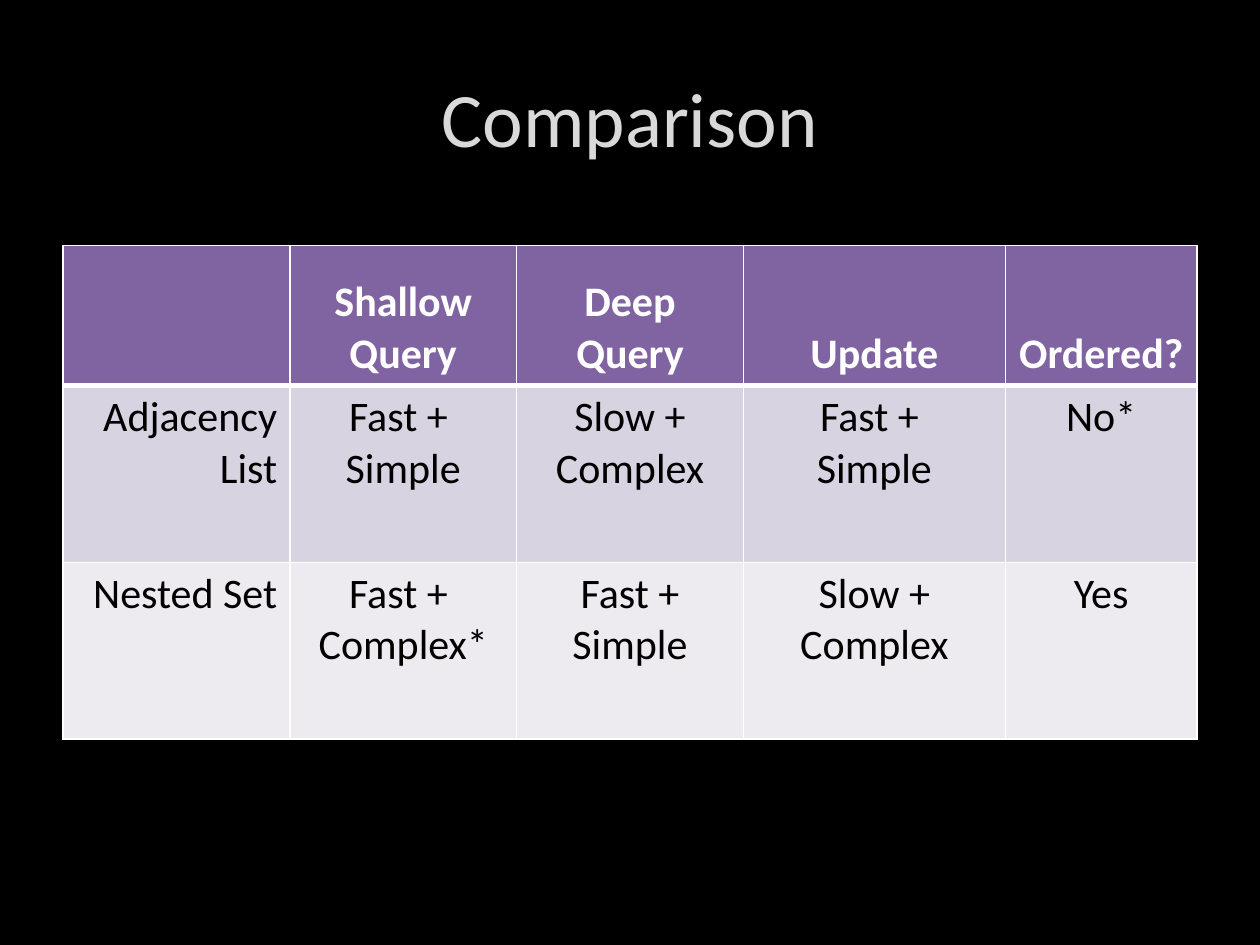
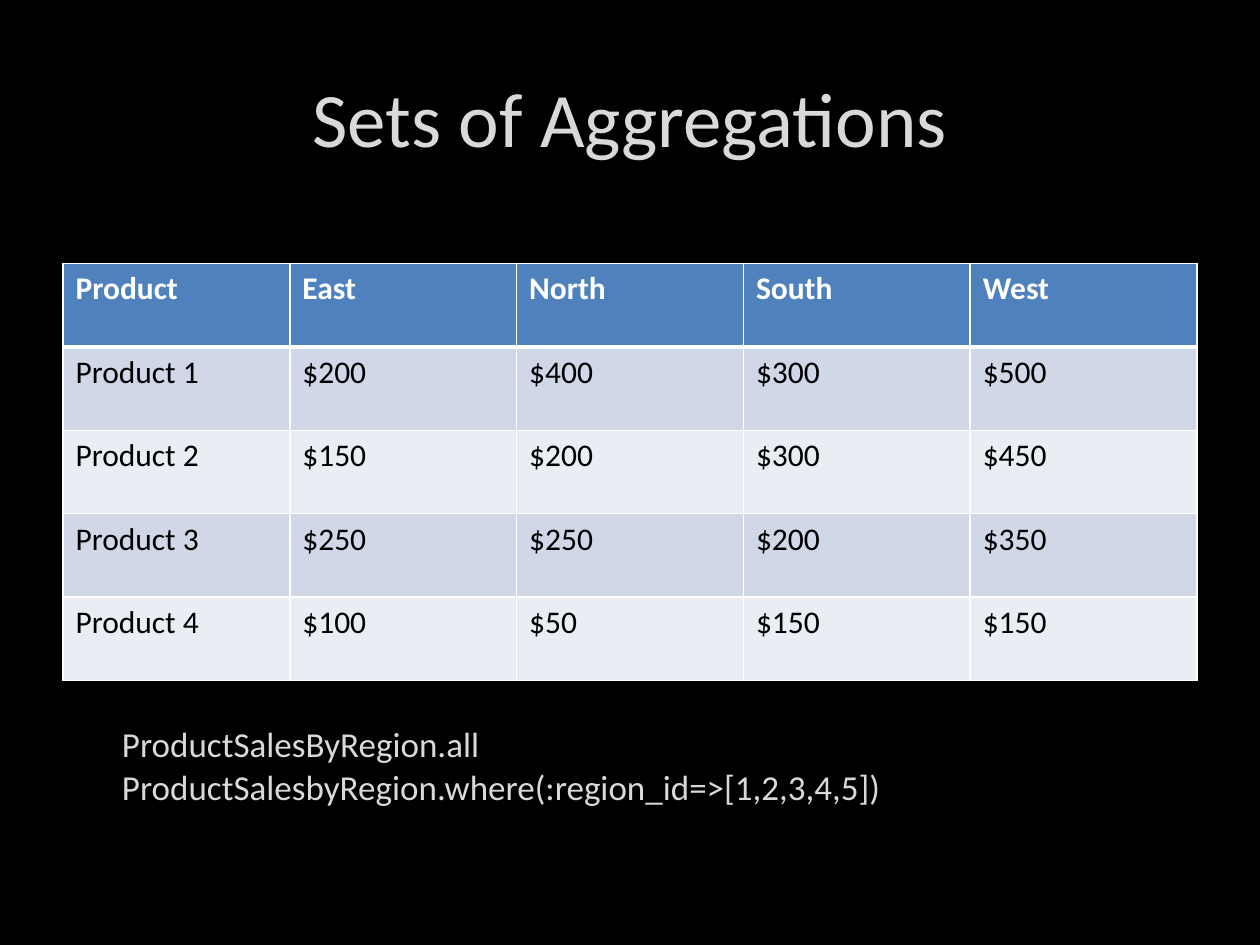
from dataclasses import dataclass

from lxml import etree
from pptx import Presentation
from pptx.dml.color import RGBColor
from pptx.enum import text
from pptx.oxml import ns
from pptx.util import Cm, Pt

ALIGN = text.PP_ALIGN
ANCHOR = text.MSO_ANCHOR


@dataclass(frozen=True)
class Theme:
    font: str = "Calibri"
    backdrop: str = "000000"
    light_text: str = "D9D9D9"
    head_text: str = "FFFFFF"
    body_text: str = "000000"
    rule: str = "FFFFFF"
    purple: tuple = ("8064A2", "D8D3E0", "EDEAF0")
    blue: tuple = ("4F81BD", "D0D8E8", "E9EDF4")
    title_size: int = 44
    comparison_size: int = 24
    sales_size: int = 18
    code_size: int = 20
    thin: int = 1
    thick: int = 3


@dataclass(frozen=True)
class Box:
    left: float
    top: float
    width: float
    height: float

    def lengths(self):
        return Cm(self.left), Cm(self.top), Cm(self.width), Cm(self.height)


THEME = Theme()
SLIDE_WIDTH, SLIDE_HEIGHT = 25.4, 19.05
MARGIN = 1.27
CONTENT_WIDTH = SLIDE_WIDTH - 2 * MARGIN
TITLE_BOX = Box(MARGIN, 0.76, CONTENT_WIDTH, 3.18)

COMPARISON = [
    ["", "Shallow Query", "Deep Query", "Update", "Ordered?"],
    ["Adjacency List", "Fast + \nSimple", "Slow +\nComplex", "Fast + \nSimple", "No*"],
    ["Nested Set", "Fast + \nComplex*", "Fast +\nSimple", "Slow + Complex", "Yes"],
]
SALES = [
    ["Product", "East", "North", "South", "West"],
    ["Product 1", "$200", "$400", "$300", "$500"],
    ["Product 2", "$150", "$200", "$300", "$450"],
    ["Product 3", "$250", "$250", "$200", "$350"],
    ["Product 4", "$100", "$50", "$150", "$150"],
]
QUERIES = [
    "ProductSalesByRegion.all",
    "ProductSalesbyRegion.where(:region_id=>[1,2,3,4,5])",
]


def write(paragraph, words, size, colour, bold=False, align=ALIGN.LEFT):
    paragraph.text = words
    paragraph.alignment = align
    for span in paragraph.runs:
        span.font.name = THEME.font
        span.font.size = Pt(size)
        span.font.bold = bold
        span.font.color.rgb = RGBColor.from_string(colour)


def add_text(page, box, lines, size, anchor=ANCHOR.TOP, align=ALIGN.LEFT):
    frame = page.shapes.add_textbox(*box.lengths()).text_frame
    frame.word_wrap = True
    frame.vertical_anchor = anchor
    frame.text = "\n".join(lines)
    for paragraph, line in zip(frame.paragraphs, lines):
        write(paragraph, line, size, THEME.light_text, align=align)


def add_title(page, words):
    add_text(page, TITLE_BOX, [words], THEME.title_size, ANCHOR.MIDDLE, ALIGN.CENTER)


def rule_cell(cell, top, bottom):
    properties = cell._tc.get_or_add_tcPr()
    widths = {"lnL": THEME.thin, "lnR": THEME.thin, "lnT": top, "lnB": bottom}
    for side, width in widths.items():
        line = etree.SubElement(properties, ns.qn(f"a:{side}"), w=str(Pt(width)))
        fill = etree.SubElement(line, ns.qn("a:solidFill"))
        etree.SubElement(fill, ns.qn("a:srgbClr"), val=THEME.rule)


def add_grid(page, box, rows, column_shares, row_shares, palette, size,
             head_anchor=ANCHOR.TOP, label_align=ALIGN.LEFT, value_align=ALIGN.LEFT):
    table = page.shapes.add_table(len(rows), len(rows[0]), *box.lengths()).table
    table.horz_banding = False
    for column, share in zip(table.columns, column_shares):
        column.width = Cm(box.width * share / sum(column_shares))
    for row, share in zip(table.rows, row_shares):
        row.height = Cm(box.height * share / sum(row_shares))
    head_fill, *bands = palette
    for row_index, values in enumerate(rows):
        head = row_index == 0
        fill = head_fill if head else bands[(row_index - 1) % len(bands)]
        top = THEME.thick if row_index == 1 else THEME.thin
        bottom = THEME.thick if head else THEME.thin
        for column_index, value in enumerate(values):
            cell = table.cell(row_index, column_index)
            rule_cell(cell, top, bottom)
            cell.fill.solid()
            cell.fill.fore_color.rgb = RGBColor.from_string(fill)
            cell.vertical_anchor = head_anchor if head else ANCHOR.TOP
            write(cell.text_frame.paragraphs[0], value, size,
                  THEME.head_text if head else THEME.body_text, bold=head,
                  align=value_align if head or column_index else label_align)


def add_page(deck, title):
    page = deck.slides.add_slide(deck.slide_layouts[6])
    add_title(page, title)
    return page


def build_comparison(deck):
    page = add_page(deck, "Comparison")
    add_grid(page, Box(MARGIN, 4.95, CONTENT_WIDTH, 9.95), COMPARISON,
             [20, 20, 20, 23.1, 16.9], [28.4, 35.8, 35.8],
             THEME.purple, THEME.comparison_size,
             ANCHOR.BOTTOM, ALIGN.RIGHT, ALIGN.CENTER)


def build_aggregations(deck):
    page = add_page(deck, "Sets of Aggregations")
    add_grid(page, Box(MARGIN, 5.31, CONTENT_WIDTH, 8.41), SALES,
             [1] * len(SALES[0]), [1] * len(SALES), THEME.blue, THEME.sales_size)
    add_text(page, Box(2.21, 14.45, 19.05, 1.96), QUERIES, THEME.code_size)


def main():
    deck = Presentation()
    deck.slide_width, deck.slide_height = Cm(SLIDE_WIDTH), Cm(SLIDE_HEIGHT)
    backdrop = deck.slide_master.background.fill
    backdrop.solid()
    backdrop.fore_color.rgb = RGBColor.from_string(THEME.backdrop)
    build_comparison(deck)
    build_aggregations(deck)
    deck.save("out.pptx")


if __name__ == "__main__":
    main()
